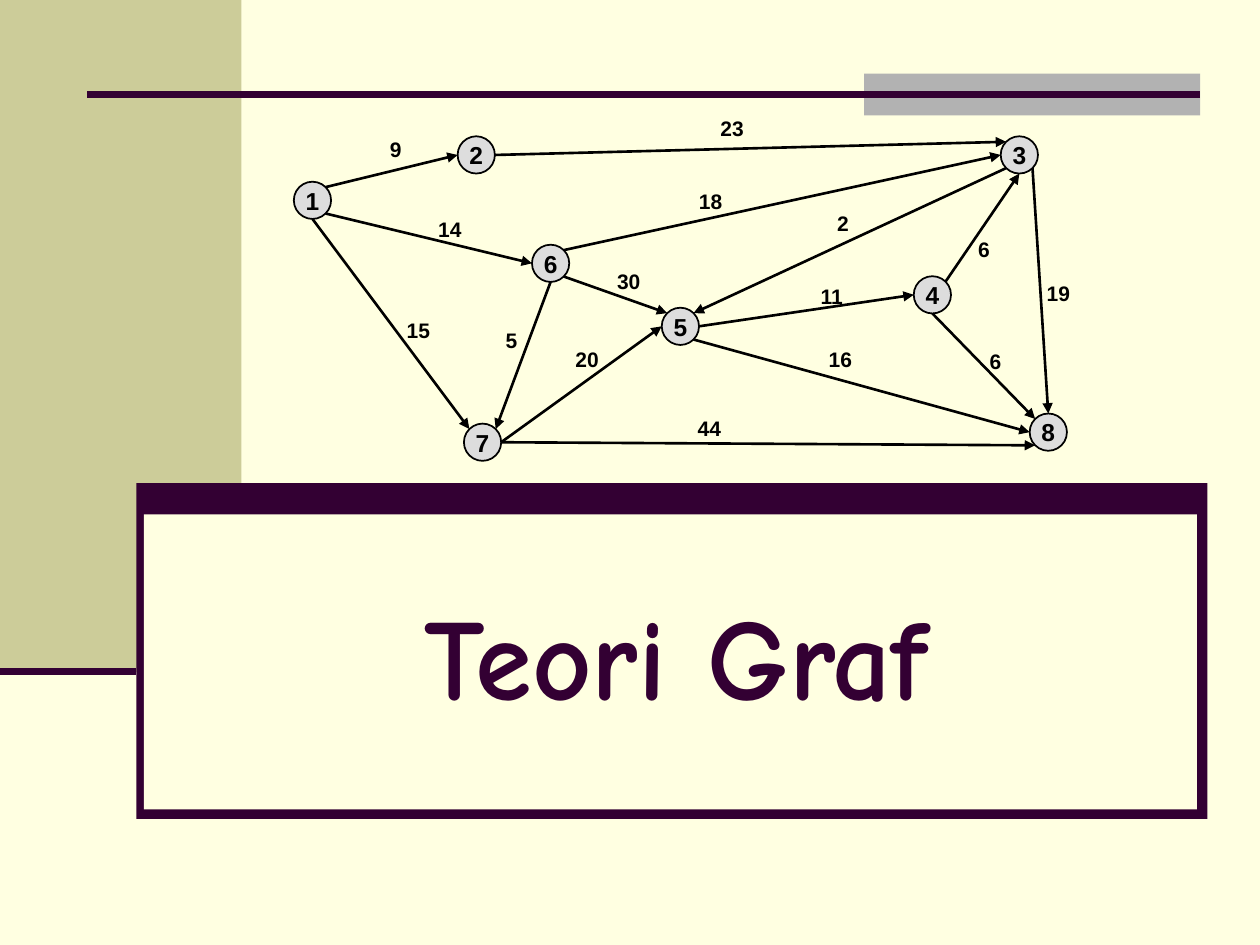
import math

import pptx
import pptx.dml.color
import pptx.enum.shapes
import pptx.enum.text
import pptx.oxml.xmlchemy
import pptx.util

COLUMNS, ROWS = 120, 90
PURPLE, CREAM, KHAKI, SILVER = "330033", "FFFFE1", "CCCC99", "B2B2B2"
BLACK, NODE_FILL = "000000", "DDDDDD"
NODE_SIZE = 3.55
LABEL_SIZE = (3, 2.4)
NODES = {
    "1": (1.76, 8.08), "2": (17.36, 3.76), "3": (69.08, 3.76), "4": (60.8, 17.08),
    "5": (36.8, 20.08), "6": (24.44, 14.08), "7": (17.96, 31.12), "8": (71.84, 30.16),
}
EDGES = [
    ("1", "NE", "2", "W", "9", (9.68, 3.16)),
    ("1", "SE", "6", "W", "14", (14.84, 10.84)),
    ("1", "S", "7", "NW", "15", (11.84, 20.44)),
    ("6", "NE", "3", "W", "18", (39.68, 8.2)),
    ("4", "NE", "3", "S", "6", (65.72, 12.76)),
    ("6", "SE", "5", "NW", "30", (31.88, 15.76)),
    ("5", "SE", "8", "W", "16", (52.04, 23.2)),
    ("5", "E", "4", "W", "11", (51.2, 17.2)),
    ("4", "S", "8", "NW", "6", (66.8, 23.44)),
    ("3", "SW", "5", "NE", "2", (52.28, 10.24)),
    ("6", "S", "7", "NE", "5", (20.72, 21.4)),
    ("7", "E", "5", "W", "20", (27.92, 23.2)),
    ("2", "E", "3", "NW", "23", (41.72, 1.24)),
    ("7", "E", "8", "SW", "44", (39.56, 29.8)),
    ("3", "SE", "8", "N", "19", (72.8, 16.96)),
]
COMPASS = ["E", "SE", "S", "SW", "W", "NW", "N", "NE"]


def color(value):
    """Turn a hex string into a colour."""
    return pptx.dml.color.RGBColor.from_string(value)


def cells(*values):
    """Turn grid cells into lengths; columns and rows are equally large."""
    return [pptx.util.Inches(value * 10 / COLUMNS) for value in values]


def within(box, left, top, width, height):
    """Place a part, given in cells, relative to its region."""
    return box[0] + left, box[1] + top, width, height


def centered(box, point, width, height):
    """Return the box of a part centred on a point of its region."""
    return within(box, point[0] - width / 2, point[1] - height / 2, width, height)


def add_block(slide, kind, box, fill, outline=None):
    """Add a filled preset shape."""
    shape = slide.shapes.add_shape(kind, *cells(*box))
    shape.shadow.inherit = False
    shape.fill.solid()
    shape.fill.fore_color.rgb = color(fill)
    if outline:
        shape.line.color.rgb = color(outline)
        shape.line.width = pptx.util.Pt(1)
    else:
        shape.line.fill.background()
    return shape


def add_rectangle(slide, box, fill):
    """Add a plain rectangle."""
    return add_block(slide, pptx.enum.shapes.MSO_SHAPE.RECTANGLE, box, fill)


def add_line(slide, start, end, stroke, width, arrow=False):
    """Add a straight line, with an arrowhead at its end on request."""
    line = slide.shapes.add_connector(
        pptx.enum.shapes.MSO_CONNECTOR.STRAIGHT, *cells(*start, *end))
    line.line.color.rgb = color(stroke)
    line.line.width = pptx.util.Pt(width)
    properties = line.element.spPr
    if arrow:
        head = pptx.oxml.xmlchemy.OxmlElement("a:tailEnd")
        head.set("type", "triangle")
        properties.get_or_add_ln().append(head)
    properties.append(pptx.oxml.xmlchemy.OxmlElement("a:effectLst"))


def write(shape, text, size, name, fill, anchor, margin=0):
    """Write one centred bold line into a shape."""
    frame = shape.text_frame
    frame_format = {
        "text": text, "word_wrap": False, "vertical_anchor": anchor,
        "auto_size": pptx.enum.text.MSO_AUTO_SIZE.NONE,
        "margin_left": margin, "margin_right": margin,
        "margin_top": margin // 2, "margin_bottom": margin // 2,
    }
    for key, value in frame_format.items():
        setattr(frame, key, value)
    paragraph = frame.paragraphs[0]
    paragraph.alignment = pptx.enum.text.PP_ALIGN.CENTER
    font = paragraph.runs[0].font
    for key, value in {"size": pptx.util.Pt(size), "name": name, "bold": True}.items():
        setattr(font, key, value)
    font.color.rgb = color(fill)


def add_side_panel(slide, box):
    """Add the coloured panel at the upper left."""
    add_rectangle(slide, box, KHAKI)


def add_title_frame(slide, box):
    """Add the framed title and the rule that leads to it."""
    add_rectangle(slide, box, PURPLE)
    add_rectangle(slide, within(box, 0.7, 3, 100.3, 28.1), CREAM)
    add_line(slide, (0, box[1] + 18), (box[0], box[1] + 18), PURPLE, 4)
    title = slide.shapes.title
    title.left, title.top, title.width, title.height = cells(
        *within(box, 25.6, 9.1, 51.6, 14.4))
    write(title, "Teori Graf", 66, "Comic Neue", PURPLE,
          pptx.enum.text.MSO_ANCHOR.TOP, pptx.util.Inches(0.1))
    title.element.getparent().append(title.element)


def add_header_rule(slide, box):
    """Add the upper rule across its grey tab."""
    left, top, width, height = box
    add_rectangle(slide, within(box, width - 32, 0, 32, height), SILVER)
    middle = top + height / 2
    add_line(slide, (left, middle), (left + width, middle), PURPLE, 3.5)


def node_site(box, node, direction):
    """Return the point of a node's rim in a compass direction."""
    angle = COMPASS.index(direction) * math.pi / 4
    x, y = NODES[node]
    return (box[0] + x + NODE_SIZE / 2 * math.cos(angle),
            box[1] + y + NODE_SIZE / 2 * math.sin(angle))


def add_graph(slide, box):
    """Add the weighted directed graph."""
    middle = pptx.enum.text.MSO_ANCHOR.MIDDLE
    for name, point in NODES.items():
        node = add_block(slide, pptx.enum.shapes.MSO_SHAPE.OVAL,
                         centered(box, point, NODE_SIZE, NODE_SIZE), NODE_FILL, BLACK)
        write(node, name, 14, "Arial", BLACK, middle)
    for source, leave, target, enter, weight, point in EDGES:
        add_line(slide, node_site(box, source, leave), node_site(box, target, enter),
                 BLACK, 1.5, arrow=True)
        label = slide.shapes.add_textbox(*cells(*centered(box, point, *LABEL_SIZE)))
        write(label, weight, 12, "Arial", BLACK, middle)


def main():
    """Build the slide and save it."""
    presentation = pptx.Presentation()
    presentation.slide_width, presentation.slide_height = cells(COLUMNS, ROWS)
    slide = presentation.slides.add_slide(presentation.slide_layouts[5])
    slide.background.fill.solid()
    slide.background.fill.fore_color.rgb = color(CREAM)
    add_side_panel(slide, (0, 0, 23, 64))
    add_title_frame(slide, (13, 46, 102, 32))
    add_header_rule(slide, (8.3, 7, 106, 4))
    add_graph(slide, (28, 11, 74, 33))
    presentation.save("out.pptx")


if __name__ == "__main__":
    main()
